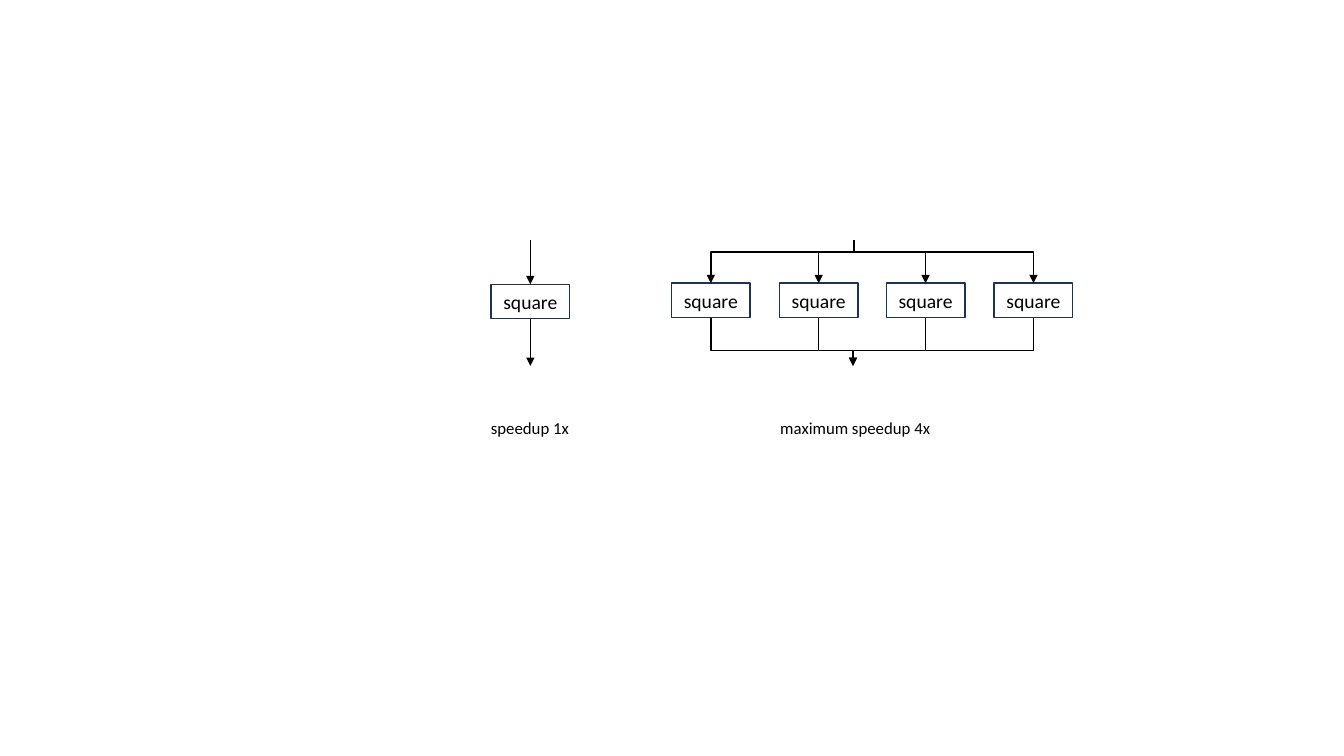
"""Draw one square task beside four parallel ones, with their speedups."""
from dataclasses import dataclass
from typing import Optional

import pptx
import pptx.dml.color
import pptx.enum.shapes
import pptx.enum.text
import pptx.oxml
import pptx.oxml.ns
import pptx.util

PX = 9144


@dataclass(frozen=True)
class Theme:
    font: str = "Calibri"
    ink: str = "000000"
    border: str = "1E3256"
    box_size: int = 14
    caption_size: int = 12
    line_width: int = 1


@dataclass(frozen=True)
class Box:
    left: int
    top: int
    width: int = 78
    height: int = 34

    @property
    def center(self) -> int:
        return self.left + self.width // 2

    @property
    def bottom(self) -> int:
        return self.top + self.height


@dataclass(frozen=True)
class Link:
    x1: int
    y1: int
    x2: int
    y2: int
    arrow: bool = True
    bend_y: Optional[int] = None


@dataclass(frozen=True)
class Caption:
    text: str
    left: int
    width: int


THEME = Theme()
START_Y, END_Y = 238, 363
SPLIT_Y, JOIN_Y = 250, 348
SPLIT_X, JOIN_X = 847, 846
CAPTION_TOP, CAPTION_HEIGHT = 410, 30
SINGLE = Box(487, 282)
PARALLEL = [Box(666 + round(i * 320 / 3), 281) for i in range(4)]
CAPTIONS = [Caption("maximum speedup 4x", 764, 174), Caption("speedup 1x", 477, 137)]


def px(n: float) -> pptx.util.Emu:
    return pptx.util.Emu(round(n * PX))


def rgb(color: str) -> pptx.dml.color.RGBColor:
    return pptx.dml.color.RGBColor.from_string(color)


def write(tf, text: str, *, size: int, align=pptx.enum.text.PP_ALIGN.LEFT) -> None:
    p = tf.paragraphs[0]
    p.alignment = align
    r = p.add_run()
    r.text = text
    r.font.name = THEME.font
    r.font.size = pptx.util.Pt(size)
    r.font.color.rgb = rgb(THEME.ink)


def style_line(line, color: str) -> None:
    line.color.rgb = rgb(color)
    line.width = pptx.util.Pt(THEME.line_width)


def draw_box(shapes, box: Box) -> None:
    sp = shapes.add_shape(pptx.enum.shapes.MSO_SHAPE.RECTANGLE, px(box.left),
                          px(box.top), px(box.width), px(box.height))
    sp.shadow.inherit = False
    sp.fill.background()
    style_line(sp.line, THEME.border)
    sp.text_frame.vertical_anchor = pptx.enum.text.MSO_ANCHOR.MIDDLE
    write(sp.text_frame, "square", size=THEME.box_size,
          align=pptx.enum.text.PP_ALIGN.CENTER)


def add_elbow(shapes, link: Link):
    rightward = link.x2 > link.x1
    cx, cy = (link.x1 + link.x2) / 2, (link.y1 + link.y2) / 2
    half_run = (link.y2 - link.y1) / 2 * (-1 if rightward else 1)
    half_rise = abs(link.x2 - link.x1) / 2
    sp = shapes.add_connector(pptx.enum.shapes.MSO_CONNECTOR.ELBOW,
                              px(cx - half_run), px(cy - half_rise),
                              px(cx + half_run), px(cy + half_rise))
    props = sp._element.spPr
    props.xfrm.set("rot", str((270 if rightward else 90) * 60000))
    bend = round((link.bend_y - link.y1) / (link.y2 - link.y1) * 100000)
    guides = props.find(".//" + pptx.oxml.ns.qn("a:avLst"))
    guides.append(pptx.oxml.parse_xml(
        f'<a:gd {pptx.oxml.ns.nsdecls("a")} name="adj1" fmla="val {bend}"/>'))
    return sp


def draw_link(shapes, link: Link) -> None:
    if link.bend_y is None:
        sp = shapes.add_connector(pptx.enum.shapes.MSO_CONNECTOR.STRAIGHT,
                                  px(link.x1), px(link.y1), px(link.x2), px(link.y2))
    else:
        sp = add_elbow(shapes, link)
    style_line(sp.line, THEME.ink)
    ns = pptx.oxml.ns.nsdecls("a")
    if link.arrow:
        sp.line._get_or_add_ln().append(
            pptx.oxml.parse_xml(f'<a:tailEnd {ns} type="triangle"/>'))
    sp._element.spPr.append(pptx.oxml.parse_xml(f"<a:effectLst {ns}/>"))


def draw_caption(shapes, caption: Caption) -> None:
    sp = shapes.add_textbox(px(caption.left), px(CAPTION_TOP),
                            px(caption.width), px(CAPTION_HEIGHT))
    tf = sp.text_frame
    tf.word_wrap = True
    tf.auto_size = pptx.enum.text.MSO_AUTO_SIZE.SHAPE_TO_FIT_TEXT
    write(tf, caption.text, size=THEME.caption_size)


def build_links() -> list[Link]:
    x = SINGLE.center
    links = [Link(x, START_Y, x, SINGLE.top), Link(x, SINGLE.bottom, x, END_Y)]
    for box in (PARALLEL[0], PARALLEL[-1]):
        links += [Link(SPLIT_X, START_Y, box.center, box.top, bend_y=SPLIT_Y),
                  Link(box.center, box.bottom, JOIN_X, END_Y, bend_y=JOIN_Y)]
    for box in PARALLEL[1:-1]:
        links += [Link(box.center, SPLIT_Y, box.center, box.top),
                  Link(box.center, box.bottom, box.center, JOIN_Y, arrow=False)]
    return links


def main() -> None:
    prs = pptx.Presentation()
    prs.slide_width, prs.slide_height = px(1333), px(750)
    shapes = prs.slides.add_slide(prs.slide_layouts[6]).shapes
    for box in [SINGLE, *PARALLEL]:
        draw_box(shapes, box)
    for link in build_links():
        draw_link(shapes, link)
    for caption in CAPTIONS:
        draw_caption(shapes, caption)
    prs.save("out.pptx")


if __name__ == "__main__":
    main()
